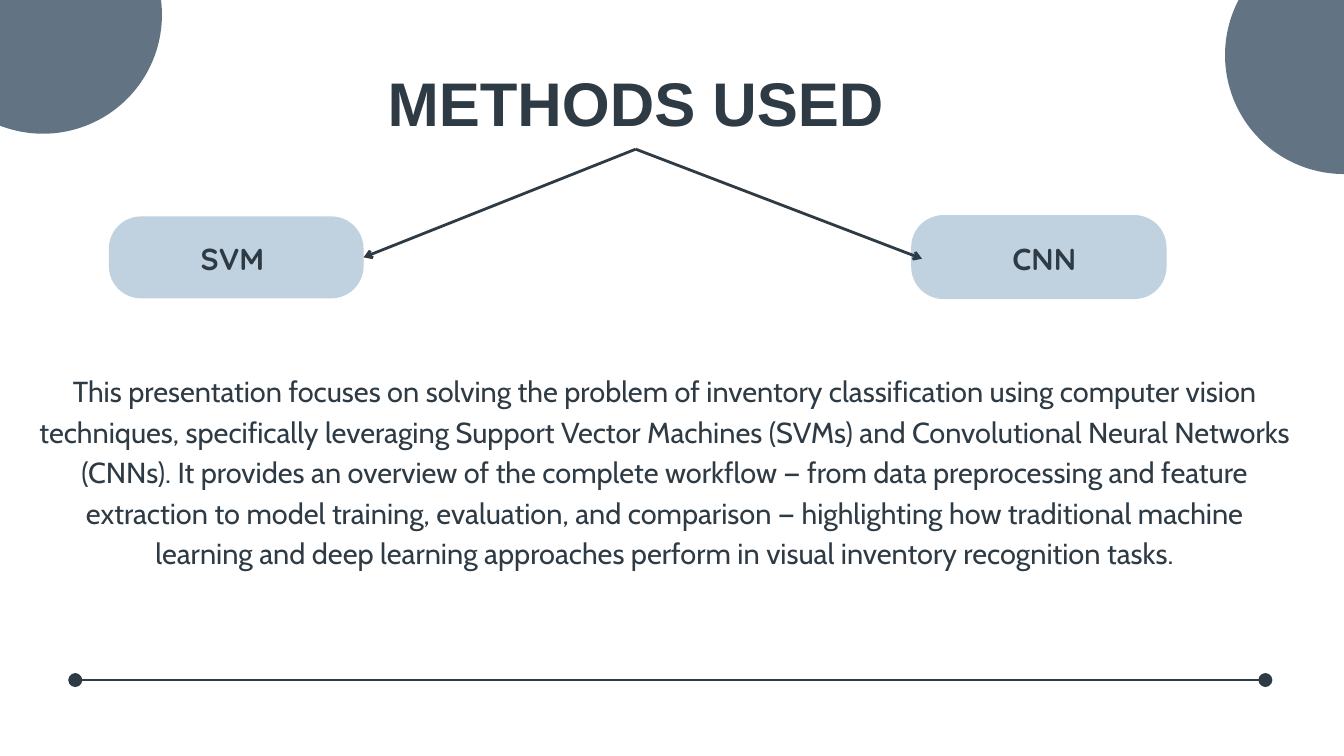
from lxml.etree import SubElement
from pptx import Presentation
from pptx.dml.color import RGBColor
from pptx.enum.shapes import MSO_CONNECTOR, MSO_SHAPE
from pptx.enum.text import MSO_ANCHOR, MSO_AUTO_SIZE, PP_ALIGN
from pptx.oxml.ns import qn
from pptx.util import Inches, Pt

# Content
TITLE = "METHODS USED"
BODY = (
    "This presentation focuses on solving the problem of inventory classification "
    "using computer vision techniques, specifically leveraging Support Vector "
    "Machines (SVMs) and Convolutional Neural Networks (CNNs). It provides an "
    "overview of the complete workflow — from data preprocessing and feature "
    "extraction to model training, evaluation, and comparison — highlighting how "
    "traditional machine learning and deep learning approaches perform in visual "
    "inventory recognition tasks."
)
# Label, pill box, label box, arrow tip
METHODS = [
    ("SVM", (1.62, 3.22, 3.79, 1.22), (1.91, 3.49, 3.1, 0.61), (5.41, 3.83)),
    ("CNN", (13.56, 3.2, 3.8, 1.25), (13.64, 3.49, 3.8, 0.61), (13.72, 3.85)),
]
FORK = (9.46, 2.22)
DISCS = [(0.64, 0.22), (20, 0.82)]  # centres
RADIUS = 1.77
CORNER = 0.48
RULE = ((1.12, 10.12), (18.83, 10.12))

THEME = {
    "ink": "2E3A44", "disc": "627484", "pill": "C0D1DF", "page": "FFFFFF",
    "line": 3,
    "title": {"font": "Arial", "size": 66, "lead": 92.4, "bold": True},
    "label": {"font": "Quicksand", "size": 32.5, "lead": 45.5, "bold": True},
    "body": {"font": "Cabin", "size": 31, "lead": 43.4, "bold": False},
}


def color(name):
    return RGBColor.from_string(THEME[name])


def place(shape, box):
    shape.left, shape.top, shape.width, shape.height = map(Inches, box)


def write(shape, text, *, font, size, lead, bold):
    frame = shape.text_frame
    frame.word_wrap = True
    frame.auto_size = MSO_AUTO_SIZE.NONE
    frame.vertical_anchor = MSO_ANCHOR.TOP
    frame.margin_left = frame.margin_right = 0
    frame.margin_top = frame.margin_bottom = 0
    para = frame.paragraphs[0]
    para.text = text
    para.alignment = PP_ALIGN.CENTER
    para.line_spacing = Pt(lead)
    para.space_before = Pt(0)
    face = para.runs[0].font
    face.name, face.size, face.bold = font, Pt(size), bold
    face.color.rgb = color("ink")


def add_text(slide, box, text, **style):
    write(slide.shapes.add_textbox(*map(Inches, box)), text, **style)


def add_shape(slide, kind, box, fill):
    shape = slide.shapes.add_shape(kind, *map(Inches, box))
    shape.shadow.inherit = False
    shape.fill.solid()
    shape.fill.fore_color.rgb = color(fill)
    shape.line.fill.background()
    return shape


def add_line(slide, start, end, size="med", **ends):
    line = slide.shapes.add_connector(
        MSO_CONNECTOR.STRAIGHT, *map(Inches, start + end))
    line.line.color.rgb = color("ink")
    line.line.width = Pt(THEME["line"])
    props = line.line._get_or_add_ln()
    for side, kind in ends.items():
        SubElement(props, qn(f"a:{side}End"), type=kind, w=size, len=size)
    SubElement(line._element.spPr, qn("a:effectLst"))


def add_disc(slide, center):
    x, y = center
    box = (x - RADIUS, y - RADIUS, 2 * RADIUS, 2 * RADIUS)
    add_shape(slide, MSO_SHAPE.OVAL, box, "disc")


def main():
    deck = Presentation()
    deck.slide_width, deck.slide_height = Inches(20), Inches(11.25)
    slide = deck.slides.add_slide(deck.slide_layouts[5])
    slide.background.fill.solid()
    slide.background.fill.fore_color.rgb = color("page")

    # Title
    place(slide.shapes.title, (3.68, 0.78, 11.56, 1.44))
    write(slide.shapes.title, TITLE, **THEME["title"])

    # Corner discs and bottom rule
    for center in DISCS:
        add_disc(slide, center)
    add_line(slide, *RULE, size="lg", head="oval", tail="oval")

    # Methods, each with an arrow from the title
    for label, pill, area, tip in METHODS:
        shape = add_shape(slide, MSO_SHAPE.ROUNDED_RECTANGLE, pill, "pill")
        shape.adjustments[0] = CORNER / pill[3]
        add_text(slide, area, label, **THEME["label"])
        add_line(slide, FORK, tip, tail="arrow")

    # Summary
    add_text(slide, (0.54, 5.48, 18.69, 3.54), BODY, **THEME["body"])

    deck.save("out.pptx")


if __name__ == "__main__":
    main()
